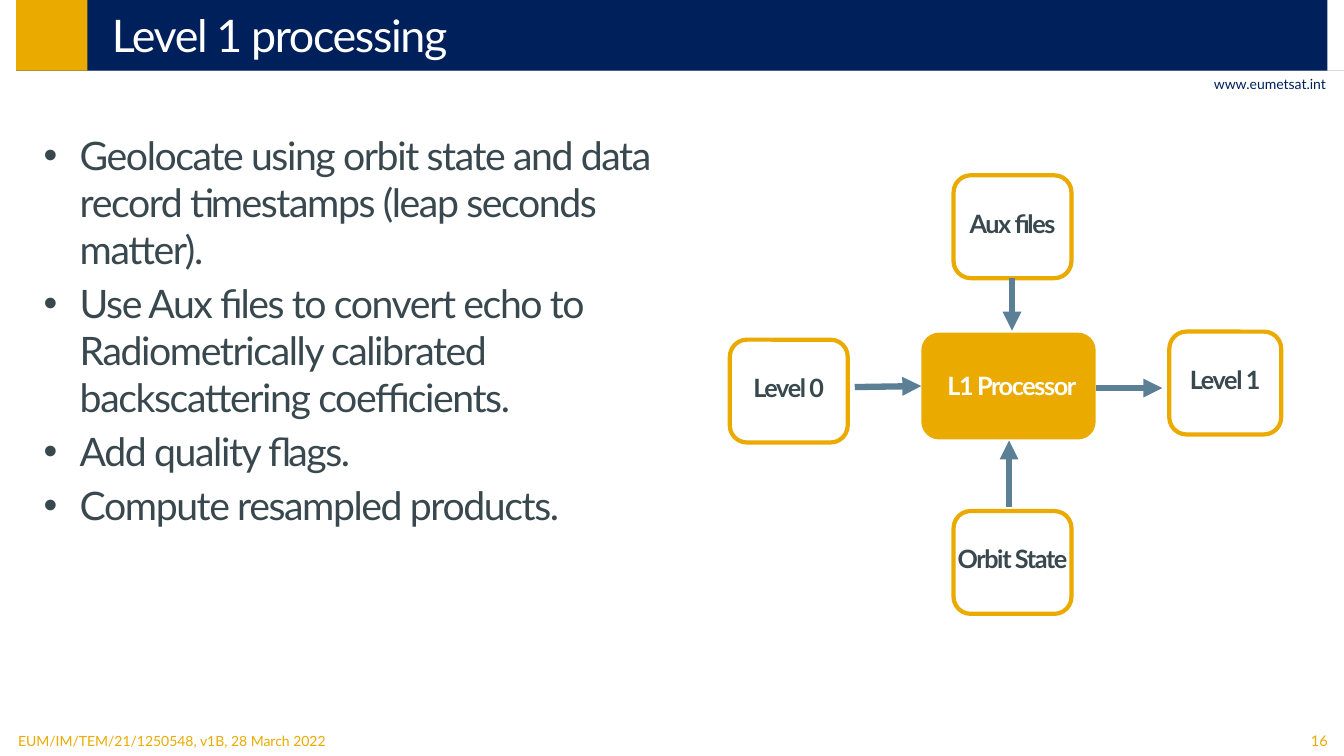
from lxml.etree import SubElement as Sub
from pptx import Presentation
from pptx.dml.color import RGBColor as Rgb
from pptx.enum.shapes import MSO_CONNECTOR as Link, MSO_SHAPE as Form
from pptx.enum.text import MSO_ANCHOR as Anchor, PP_ALIGN as Align
from pptx.oxml.ns import qn
from pptx.util import Inches, Pt

COLS, ROWS = 160, 90
UNIT = Inches(13.33) / COLS
HUES = {"navy": "00205B", "gold": "EAAA00", "slate": "38484E",
        "steel": "5B7F95", "white": "FFFFFF"}
PAD = (1.2, 0.6, 1.2, 0.6)


def grid(*vals):
    return [round(v * UNIT) for v in vals]


def hue(name):
    return Rgb.from_string(HUES[name])


def write(shape, lines, size, color, align=Align.LEFT, bold=False,
          tight=False, pad=PAD, anchor=Anchor.TOP, wrap=True):
    frame = shape.text_frame
    frame.text = "\n".join(lines)
    frame.word_wrap = wrap
    frame.vertical_anchor = anchor
    (frame.margin_left, frame.margin_top,
     frame.margin_right, frame.margin_bottom) = grid(*pad)
    for para in frame.paragraphs:
        para.alignment = align
        for run in para.runs:
            font = run.font
            font.name, font.size, font.bold = "Lato", Pt(size), bold
            font.color.rgb = hue(color)
            if tight:
                run._r.get_or_add_rPr().set("spc", "-100")
    return frame


def label(slide, box, lines, size, color, **style):
    return write(slide.shapes.add_textbox(*grid(*box)), lines, size, color, **style)


def block(slide, form, box, fill=None, edge=None):
    shape = slide.shapes.add_shape(form, *grid(*box))
    shape.shadow.inherit = False
    if fill:
        shape.fill.solid()
        shape.fill.fore_color.rgb = hue(fill)
    else:
        shape.fill.background()
    if edge:
        shape.line.color.rgb = hue(edge)
        shape.line.width = Pt(3)
    else:
        shape.line.fill.background()
    return shape


def stroke(slide, ends, color, width):
    line = slide.shapes.add_connector(Link.STRAIGHT, *grid(*ends))
    line.line.color.rgb = hue(color)
    line.line.width = Pt(width)
    Sub(line._element.spPr, qn("a:effectLst"))
    return line.line._get_or_add_ln()


def header(slide, box):
    x, y, w, h = box
    rule = stroke(slide, (x, y + h, COLS, y + h), "slate", 0.5)
    Sub(rule.find(".//" + qn("a:srgbClr")), qn("a:alpha"), val="20000")
    block(slide, Form.RECTANGLE, box, "navy")
    block(slide, Form.RECTANGLE, (x, y, h, h), "gold")
    label(slide, (x + h, y, COLS - x - h, h), ["Level 1 processing"], 32, "white",
          tight=True, pad=(2.9, 0.5, 0.5, 0.5), anchor=Anchor.MIDDLE)
    label(slide, (x + w - 15, y + h, 16, 3.2), ["www.eumetsat.int"], 10, "navy",
          align=Align.RIGHT, wrap=False)


def bullets(slide, box, lines):
    frame = label(slide, box, lines, 28, "slate", tight=True)
    for spot, para in enumerate(frame.paragraphs):
        props = para._p.get_or_add_pPr()
        dent = grid(4.3)[0]
        props.set("marL", str(dent))
        props.set("indent", str(-dent))
        Sub(props, qn("a:buFont"), typeface="Arial")
        Sub(props, qn("a:buChar"), char="•")
        if spot:
            para.space_before = Pt(5)


def diagram(slide, box):
    x, y, w, h = box
    tall = 12.24
    nodes = [
        ("Level 0", 0, 19.56, 14.04, tall),
        ("Aux files", 26.64, 0, 14.04, tall),
        ("Orbit State", 26.64, h - tall, 14.04, tall),
        ("Level 1", w - 13.32, 18.6, 13.32, tall),
        ("L1 Processor", 22.8, 18.72, 20.76, 12.72),
    ]
    arrows = [
        (14.88, 25.2, 22.8, 25.08),
        (33.6, 12.24, 33.6, 18.48),
        (33.24, 39.48, 33.24, 31.56),
        (43.56, 25.32, 51.48, 25.32),
    ]
    for name, left, top, wide, high in nodes:
        core = name == "L1 Processor"
        node = block(slide, Form.ROUNDED_RECTANGLE, (x + left, y + top, wide, high),
                     fill="gold" if core else None, edge=None if core else "gold")
        write(node, [name], 18, "white" if core else "slate", align=Align.CENTER,
              bold=True, tight=True, anchor=Anchor.MIDDLE, wrap=False,
              pad=(0.8, 0, 0, 0.2) if core else (0, 0, 0, 0.9))
    for x1, y1, x2, y2 in arrows:
        line = stroke(slide, (x + x1, y + y1, x + x2, y + y2), "steel", 4.5)
        Sub(line, qn("a:tailEnd"), type="triangle")


def footer(slide, box):
    x, y, w, h = box
    label(slide, (x, y + 0.7, 60, 2), ["EUM/IM/TEM/21/1250548, v1B, 28 March 2022"],
          10, "gold", pad=(0, 0, 0, 0))
    label(slide, (x + w - 8, y, 8, h), ["16"], 10.5, "gold", align=Align.RIGHT)


def main():
    deck = Presentation()
    deck.slide_width, deck.slide_height = grid(COLS, ROWS)
    slide = deck.slides.add_slide(deck.slide_layouts[6])
    header(slide, (1.92, -0.1, 156.12, 8.5))
    bullets(slide, (4, 15, 78, 69), [
        "Geolocate using orbit state and data record timestamps (leap seconds matter).",
        "Use Aux files to convert echo to Radiometrically calibrated "
        "backscattering coefficients.",
        "Add quality flags.",
        "Compute resampled products.",
    ])
    diagram(slide, (86.88, 20.88, 65.64, 52.2))
    footer(slide, (2.16, 86.5, 157.1, 3.5))
    deck.save("out.pptx")


if __name__ == "__main__":
    main()
